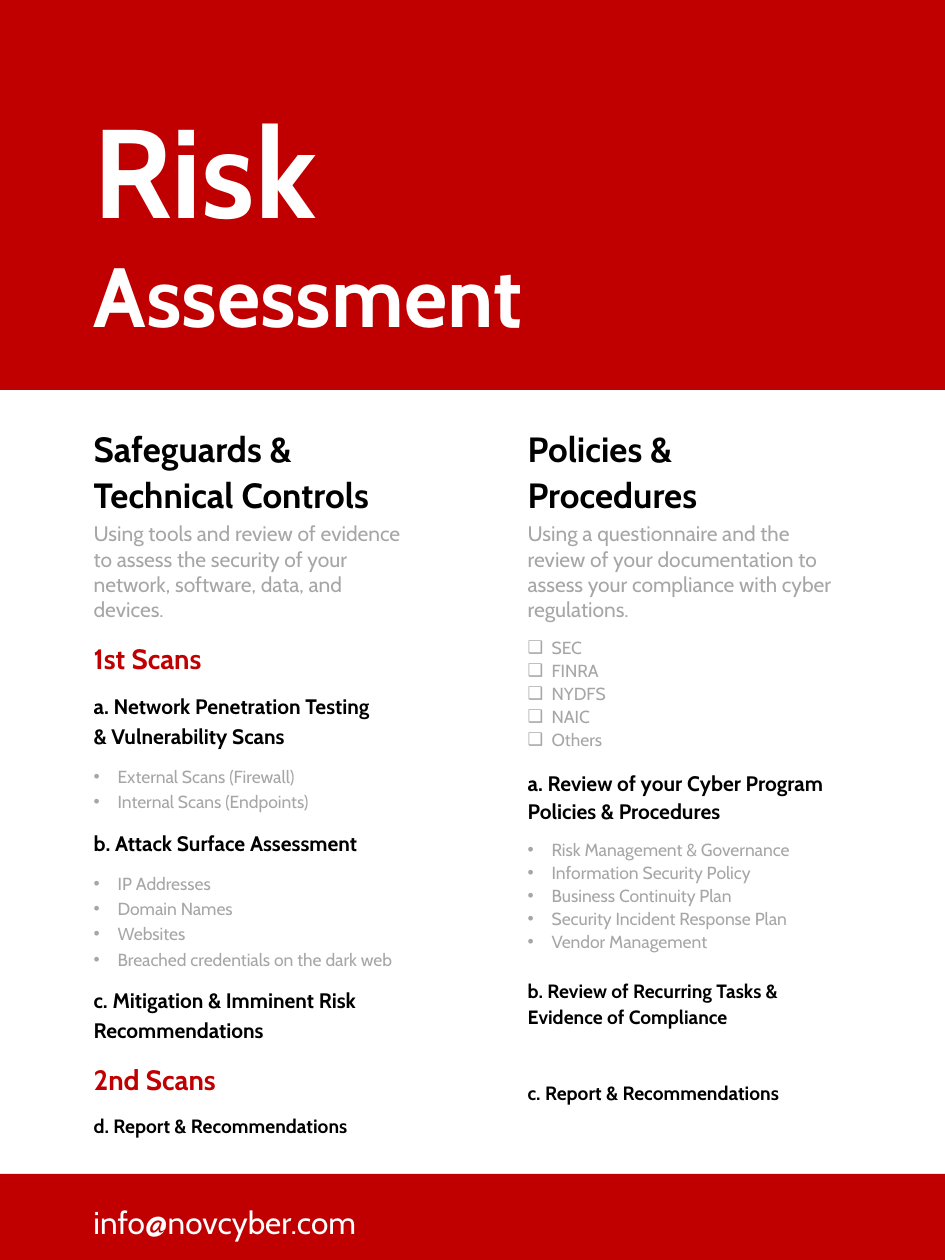
from copy import deepcopy

from lxml import etree
from pptx import Presentation, util as u
from pptx.dml.color import RGBColor
from pptx.enum import shapes, text
from pptx.oxml import ns

PX = 914400 / 126
FONT = "Cabin"
COLORS = {"red": "C00000", "white": "FFFFFF", "black": "000000", "gray": "A6A6A6"}
LEFT, RIGHT, COLUMN_TOP, COLUMN_WIDTH = 81, 515, 417, 349
INDENT = 24

# style: size, colour, bold, bullet
STYLES = {
    "heading": (20, "black", True, None),
    "intro": (12, "gray", False, None),
    "phase": (16, "red", True, None),
    "step": (12, "black", True, None),
    "small step": (11, "black", True, None),
    "bullet": (10, "gray", False, "•"),
    "check": (10, "gray", False, "❑"),
}

# entries: style, space before in points, lines
SAFEGUARDS = [
    ("heading", 0, ["Safeguards &\vTechnical Controls"]),
    ("intro", 3, ["Using tools and review of evidence to assess the security of "
                  "your network, software, data, and devices."]),
    ("phase", 7.5, ["1st Scans"]),
    ("step", 7.5, ["a. Network Penetration Testing\v& Vulnerability Scans"]),
    ("bullet", 7.5, ["External Scans (Firewall)", "Internal Scans (Endpoints)"]),
    ("step", 7.5, ["b. Attack Surface Assessment"]),
    ("bullet", 7.5, ["IP Addresses", "Domain Names", "Websites",
                     "Breached credentials on the dark web"]),
    ("step", 7.5, ["c. Mitigation & Imminent Risk Recommendations"]),
    ("phase", 7.5, ["2nd Scans"]),
    ("small step", 7.5, ["d. Report & Recommendations"]),
]
POLICIES = [
    ("heading", 0, ["Policies &\vProcedures"]),
    ("intro", 3, ["Using a questionnaire and the review of your documentation to "
                  "assess your compliance with cyber regulations."]),
    ("check", 7.5, ["SEC", "FINRA", "NYDFS", "NAIC", "Others"]),
    ("step", 10, ["a. Review of your Cyber Program Policies & Procedures"]),
    ("bullet", 7.5, ["Risk Management & Governance", "Information Security Policy",
                     "Business Continuity Plan", "Security Incident Response Plan",
                     "Vendor Management"]),
    ("small step", 14.5, ["b. Review of Recurring Tasks & Evidence of Compliance"]),
    ("small step", 29, ["c. Report & Recommendations"]),
]


def px(value):
    return u.Emu(round(value * PX))


def place(shape, left, top, width, height):
    shape.left, shape.top, shape.width, shape.height = map(px, (left, top, width, height))


def format_runs(paragraph, size, color, bold):
    for run in paragraph.runs:
        run.font.name, run.font.size, run.font.bold = FONT, u.Pt(size), bold
        run.font.color.rgb = RGBColor.from_string(COLORS[color])
    # line breaks take the format of the text around them
    for line_break in paragraph._p.findall(ns.qn("a:br")):
        line_break.append(deepcopy(paragraph.runs[0].font._element))


def set_bullet(paragraph, character):
    properties = paragraph._p.get_or_add_pPr()
    indent = px(INDENT) if character else 0
    properties.set("marL", str(indent))
    properties.set("indent", str(-indent))
    if character:
        etree.SubElement(properties, ns.qn("a:buChar")).set("char", character)
    else:
        etree.SubElement(properties, ns.qn("a:buNone"))


def add_band(slide, top, height):
    band = slide.shapes.add_shape(shapes.MSO_SHAPE.RECTANGLE,
                                  px(-1), px(top), px(946), px(height))
    band.shadow.inherit = False
    band.fill.solid()
    band.fill.fore_color.rgb = RGBColor.from_string(COLORS["red"])
    band.line.fill.background()
    # bands lie behind the placeholders
    slide.shapes._spTree.insert(2, band._element)


def fill_title(title):
    place(title, LEFT, 86, 503, 267)
    frame = title.text_frame
    frame.text = "Risk\nAssessment"
    frame.word_wrap = False
    frame.auto_size = text.MSO_AUTO_SIZE.NONE
    frame.vertical_anchor = text.MSO_ANCHOR.TOP
    for paragraph, size in zip(frame.paragraphs, (72, 48)):
        paragraph.alignment = text.PP_ALIGN.LEFT
        format_runs(paragraph, size, "white", True)


def fill_column(body, left, height, entries, spacing):
    place(body, left, COLUMN_TOP, COLUMN_WIDTH, height)
    frame = body.text_frame
    frame.word_wrap = True
    frame.auto_size = text.MSO_AUTO_SIZE.NONE
    lines = [(style, 0 if index else before, line)
             for style, before, group in entries for index, line in enumerate(group)]
    frame.text = "\n".join(line for _, _, line in lines)
    for paragraph, (style, before, _) in zip(frame.paragraphs, lines):
        size, color, bold, bullet = STYLES[style]
        set_bullet(paragraph, bullet)
        paragraph.space_before = u.Pt(before)
        paragraph.line_spacing = {"heading": 1.1, "intro": 1.0}.get(style, spacing)
        format_runs(paragraph, size, color, bold)


def add_contact(slide):
    box = slide.shapes.add_textbox(px(LEFT), px(1197), px(320), px(50))
    box.text_frame.word_wrap = True
    box.text_frame.text = "info@novcyber.com"
    format_runs(box.text_frame.paragraphs[0], 18, "white", False)


def main():
    presentation = Presentation()
    presentation.slide_width, presentation.slide_height = u.Inches(7.5), u.Inches(10)
    slide = presentation.slides.add_slide(presentation.slide_layouts[3])

    # header and footer bands
    add_band(slide, 0, 390)
    add_band(slide, 1174, 87)

    # title, two columns, contact line
    fill_title(slide.shapes.title)
    fill_column(slide.placeholders[1], LEFT, 782, SAFEGUARDS, 1.2)
    fill_column(slide.placeholders[2], RIGHT, 680, POLICIES, 1.1)
    add_contact(slide)
    presentation.save("out.pptx")


if __name__ == "__main__":
    main()
